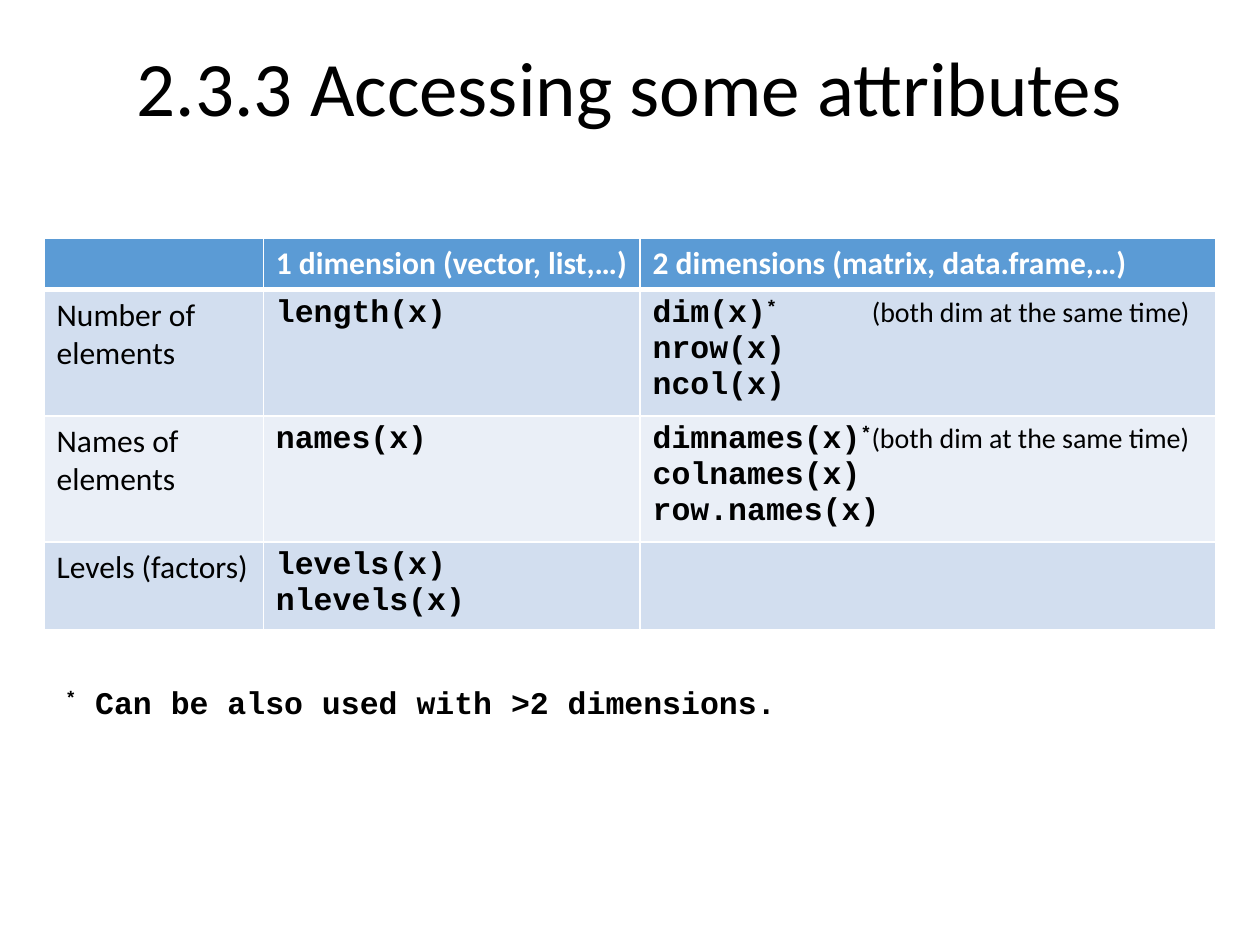
from dataclasses import dataclass
from lxml import etree
from pptx import Presentation
from pptx.dml.color import RGBColor
from pptx.enum.text import MSO_ANCHOR, PP_ALIGN
from pptx.oxml.ns import qn
from pptx.util import Inches, Pt

MIDDLE = MSO_ANCHOR.MIDDLE
CENTER = PP_ALIGN.CENTER
LEFT = PP_ALIGN.LEFT


@dataclass(frozen=True)
class Theme:
    ink: str = "000000"
    paper: str = "FFFFFF"
    head: str = "5B9BD5"
    odd: str = "D2DEEF"
    even: str = "EAEFF7"
    sans: str = "Calibri"
    mono: str = "Courier New"
    title: int = 44
    body: int = 18
    note: int = 16


THEME = Theme()


def grid(count):
    return Inches(count / 10)


def write(line, text, font=THEME.sans, size=THEME.body, color=THEME.ink,
          bold=False, base=0):
    run = line.add_run()
    run.text = text
    run.font.name = font
    run.font.size = Pt(size)
    run.font.bold = bold
    run.font.color.rgb = RGBColor.from_string(color)
    if base:
        run.font._element.set("baseline", str(base * 1000))


def code(text):
    return text, dict(font=THEME.mono, bold=True)


def plain(text, **form):
    return text, form


STAR = ("*", dict(font=THEME.mono, bold=True, base=30))
BOTH = "(both dim at the same time)"


class Page:
    def __init__(self, theme, slide):
        self.theme = theme
        self.slide = slide

    def fill(self, frame, lines, align=LEFT, space=None, tab=None):
        for index, runs in enumerate(lines):
            line = frame.add_paragraph() if index else frame.paragraphs[0]
            line.alignment = align
            if space:
                line.line_spacing = space
            if tab and any("\t" in text for text, form in runs):
                stops = etree.SubElement(line._p.get_or_add_pPr(), qn("a:tabLst"))
                etree.SubElement(stops, qn("a:tab"), pos=str(grid(tab)), algn="l")
            for text, form in runs:
                write(line, text, **form)

    def text(self, place, lines, anchor=None, **form):
        box = self.slide.shapes.add_textbox(*map(grid, place))
        frame = box.text_frame
        frame.word_wrap = True
        if anchor is not None:
            frame.vertical_anchor = anchor
        self.fill(frame, lines, **form)

    def edge(self, cell, side, width):
        line = etree.SubElement(cell._tc.get_or_add_tcPr(), qn(f"a:ln{side}"),
                                w=str(Pt(width)))
        solid = etree.SubElement(line, qn("a:solidFill"))
        etree.SubElement(solid, qn("a:srgbClr"), val=self.theme.paper)

    def table(self, left, top, cols, rows, data, tab):
        size = map(grid, (left, top, sum(cols), sum(rows)))
        table = self.slide.shapes.add_table(len(rows), len(cols), *size).table
        for col, width in zip(table.columns, cols):
            col.width = grid(width)
        for row, height in zip(table.rows, rows):
            row.height = grid(height)
        for y, cells in enumerate(data):
            shade = self.theme.odd if y % 2 else self.theme.even
            if y == 0:
                shade = self.theme.head
            for x, lines in enumerate(cells):
                cell = table.cell(y, x)
                for side in "LRTB":
                    thick = (y, side) in ((0, "B"), (1, "T"))
                    self.edge(cell, side, 3 if thick else 1)
                cell.fill.solid()
                cell.fill.fore_color.rgb = RGBColor.from_string(shade)
                self.fill(cell.text_frame, lines, tab=tab)


def main():
    deck = Presentation()
    deck.slide_width, deck.slide_height = grid(100), grid(75)
    page = Page(THEME, deck.slides.add_slide(deck.slide_layouts[6]))

    page.text((0, 0, 100, 14.5),
              [[plain("2.3.3 Accessing some attributes", size=THEME.title)]],
              anchor=MIDDLE, align=CENTER, space=0.9)

    head = dict(color=THEME.paper, bold=True)
    note = dict(size=THEME.note)
    data = [
        [[],
         [[plain("1 dimension (vector, list,…)", **head)]],
         [[plain("2 dimensions (matrix, data.frame,…)", **head)]]],
        [[[plain("Number of elements")]],
         [[code("length(x)")]],
         [[code("dim(x)"), STAR, plain("\t" + BOTH, **note)],
          [code("nrow(x)")],
          [code("ncol(x)")]]],
        [[[plain("Names of elements")]],
         [[code("names(x)")]],
         [[code("dimnames(x)"), STAR, plain(BOTH, **note)],
          [code("colnames(x)")],
          [code("row.names(x)")]]],
        [[[plain("Levels (factors)")]],
         [[code("levels(x)")], [code("nlevels(x)")]],
         []],
    ]
    page.table(3.5, 18.9, (17.4, 29.9, 45.7), (4.1, 9.5, 9.5, 6.7), data, tab=17.4)

    page.text((4.2, 53.7, 58.8, 4),
              [[STAR, code(" Can be also used with >2 dimensions.")]])
    deck.save("out.pptx")


if __name__ == "__main__":
    main()
